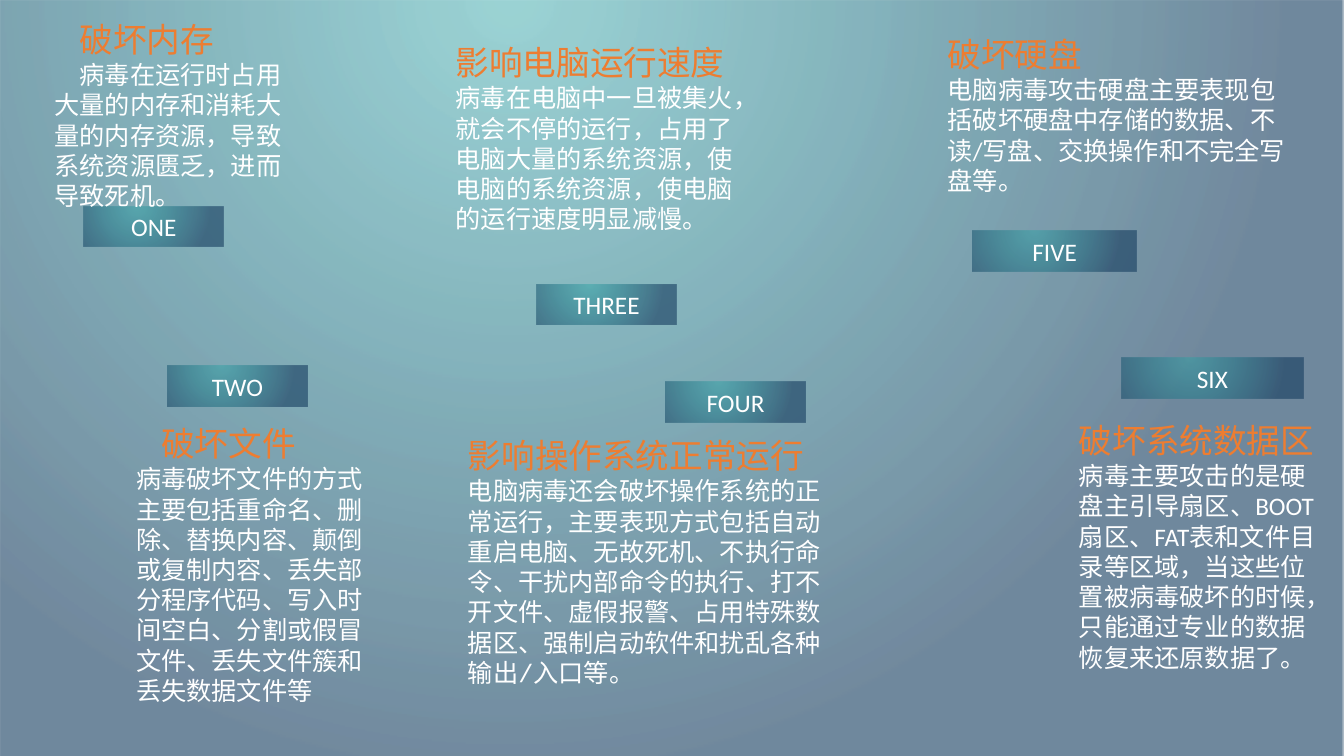
from lxml import etree
from pptx import Presentation
from pptx.dml.color import RGBColor
from pptx.enum.shapes import MSO_SHAPE
from pptx.enum.text import MSO_ANCHOR, MSO_AUTO_SIZE, PP_ALIGN
from pptx.oxml.ns import qn
from pptx.util import Inches, Pt

RECTANGLE = MSO_SHAPE.RECTANGLE
TOP, MIDDLE = MSO_ANCHOR.TOP, MSO_ANCHOR.MIDDLE
CENTER, LEFT = PP_ALIGN.CENTER, PP_ALIGN.LEFT
GROW = MSO_AUTO_SIZE.SHAPE_TO_FIT_TEXT
BLANK_LAYOUT = 6

WHITE, ORANGE = "FFFFFF", "ED7D31"
SANS, MONO = "Calibri", "Courier New"
# Position, colour and opacity, all in percent where numeric
GLOW_STOPS = [(0, "2CA3A6", 47), (45, "247888", 55), (100, "193F61", 61)]
GLOW_FOCUS = {"l": 38, "t": -20, "r": 62, "b": 120}
INSET = 0.05
LABEL_HEIGHT = 0.4


def color(value):
    return RGBColor.from_string(value)


def percent(value):
    return str(value * 1000)


class VirusPage:
    """Holds the current slide and its shared style."""

    def __init__(self, deck):
        self.page = deck.slides.add_slide(deck.slide_layouts[BLANK_LAYOUT])
        self.page.background.fill.solid()
        self.page.background.fill.fore_color.rgb = color(WHITE)

    def panel(self, left, top, width, height):
        """Rectangle with the translucent radial glow."""
        box = self.page.shapes.add_shape(
            RECTANGLE, Inches(left), Inches(top), Inches(width), Inches(height))
        box.shadow.inherit = False
        box.line.fill.background()
        box.fill.gradient()
        gradient = box.element.spPr.find(qn("a:gradFill"))
        for child in list(gradient):
            gradient.remove(child)
        gradient.set("rotWithShape", "1")
        stops = etree.SubElement(gradient, qn("a:gsLst"))
        for position, shade, opacity in GLOW_STOPS:
            stop = etree.SubElement(stops, qn("a:gs"), pos=percent(position))
            tint = etree.SubElement(stop, qn("a:srgbClr"), val=shade)
            etree.SubElement(tint, qn("a:alpha"), val=percent(opacity))
        radial = etree.SubElement(gradient, qn("a:path"), path="circle")
        focus = etree.SubElement(radial, qn("a:fillToRect"))
        for side, value in GLOW_FOCUS.items():
            focus.set(side, percent(value))
        return box

    def frame(self, box, anchor):
        frame = box.text_frame
        frame.word_wrap = True
        frame.vertical_anchor = anchor
        frame.margin_left = frame.margin_right = Inches(INSET)
        frame.margin_top = frame.margin_bottom = Inches(INSET)
        return frame

    def span(self, para, text, size, font, shade):
        span = para.add_run()
        span.text = text
        span.font.size = Pt(size)
        span.font.name = font
        span.font.color.rgb = color(shade)

    def label(self, text, left, top, width):
        box = self.panel(left, top, width, LABEL_HEIGHT)
        para = self.frame(box, MIDDLE).paragraphs[0]
        para.alignment = CENTER
        self.span(para, text, 18, SANS, WHITE)

    def note(self, place, font, lead, heading, body):
        box = self.page.shapes.add_textbox(*[Inches(length) for length in place])
        frame = self.frame(box, TOP)
        frame.auto_size = GROW
        title = frame.paragraphs[0]
        title.alignment = LEFT
        if lead:
            self.span(title, lead, 18, font, WHITE)
        self.span(title, heading, 24, font, ORANGE)
        para = frame.add_paragraph()
        para.alignment = LEFT
        self.span(para, body, 18, font, WHITE)


# Label (text, left, top, width), note place, font, lead, heading, body
EFFECTS = [
    (("ONE", 0.83, 2.05, 1.39), (0.49, 0.14, 2.56, 2.02), MONO, "　", "破坏内存",
     "　病毒在运行时占用大量的内存和消耗大量的内存资源，导致系统资源匮乏，进而导致死机。"),
    (("TWO", 1.66, 3.63, 1.39), (1.3, 4.15, 2.56, 2.93), MONO, "　", "破坏文件",
     "病毒破坏文件的方式主要包括重命名、删除、替换内容、颠倒或复制内容、"
     "丢失部分程序代码、写入时间空白、分割或假冒文件、丢失文件簇和丢失数据文件等"),
    (("THREE", 5.32, 2.82, 1.39), (4.47, 0.37, 3.09, 2.32), MONO, "", "影响电脑运行速度",
     "病毒在电脑中一旦被集火，就会不停的运行，占用了电脑大量的系统资源，"
     "使电脑的系统资源，使电脑的运行速度明显减慢。"),
    (("FOUR", 6.6, 3.79, 1.39), (4.59, 4.27, 3.65, 2.62), MONO, "", "影响操作系统正常运行",
     "电脑病毒还会破坏操作系统的正常运行，主要表现方式包括自动重启电脑、无故死机、"
     "不执行命令、干扰内部命令的执行、打不开文件、虚假报警、占用特殊数据区、"
     "强制启动软件和扰乱各种输出/入口等。"),
    (("FIVE", 9.65, 2.29, 1.62), (9.35, 0.29, 3.46, 1.71), SANS, "", "破坏硬盘",
     "电脑病毒攻击硬盘主要表现包括破坏硬盘中存储的数据、不读/写盘、"
     "交换操作和不完全写盘等。"),
    (("SIX", 11.12, 3.55, 1.81), (10.65, 4.12, 2.55, 2.93), SANS, "", "破坏系统数据区",
     "病毒主要攻击的是硬盘主引导扇区、BOOT扇区、FAT表和文件目录等区域，"
     "当这些位置被病毒破坏的时候，只能通过专业的数据恢复来还原数据了。"),
]


def main():
    deck = Presentation()
    deck.slide_width, deck.slide_height = Inches(13.33), Inches(7.5)
    page = VirusPage(deck)

    # Backdrop
    page.panel(0, 0, 13.33, 7.5)

    # Six effects, each a label and a note
    for label, *note in EFFECTS:
        page.label(*label)
        page.note(*note)

    deck.save("out.pptx")


if __name__ == "__main__":
    main()
